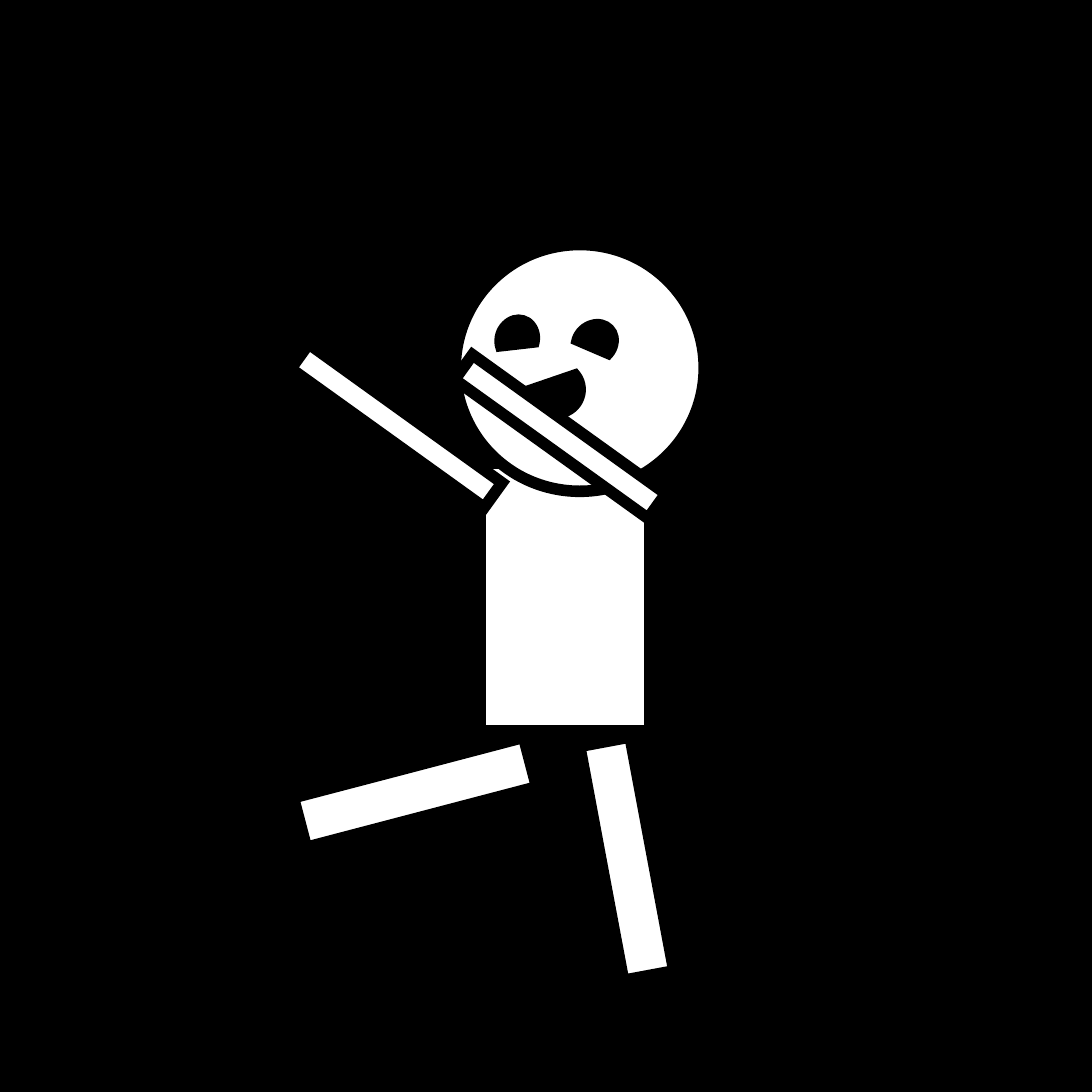
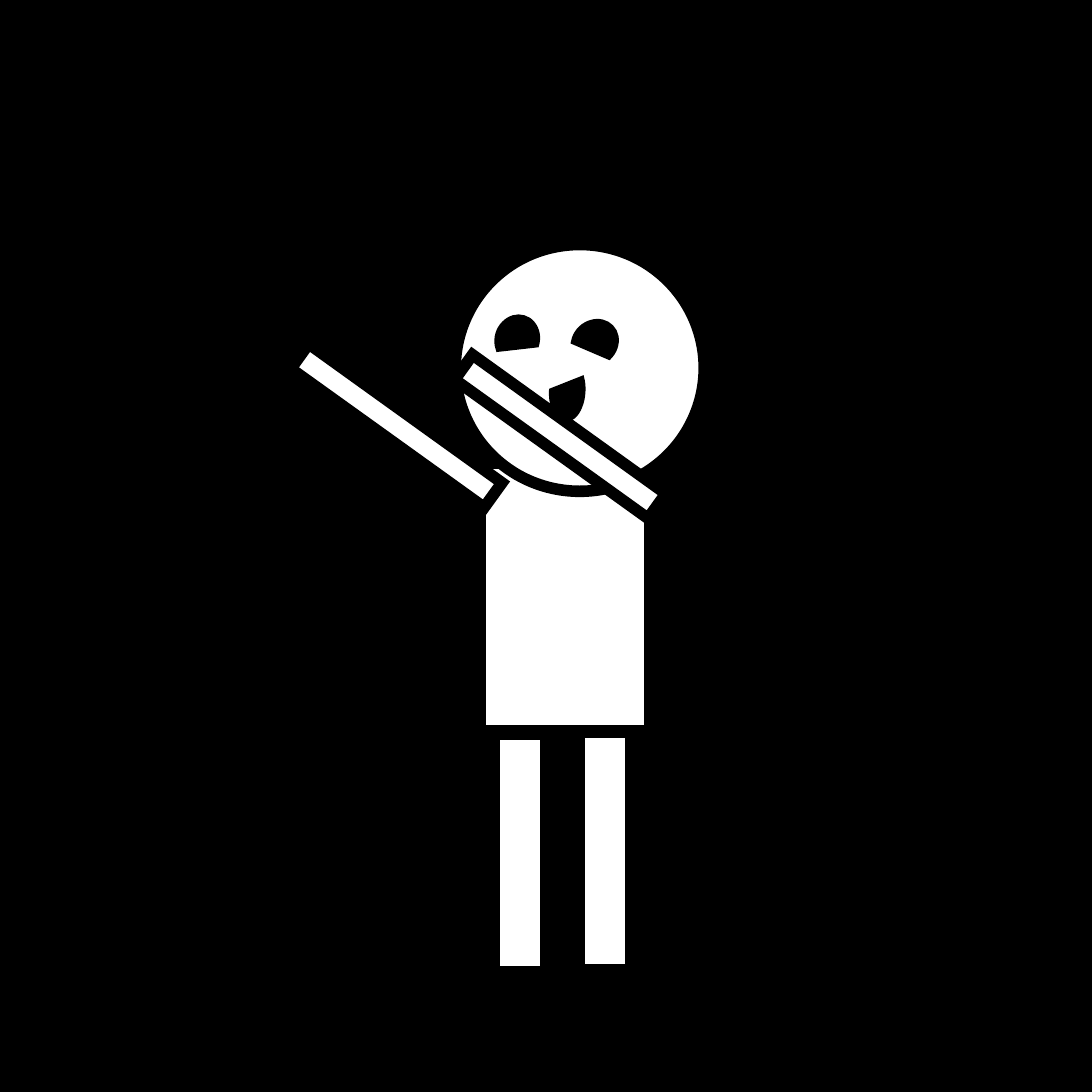
"""Build two poses of a dabbing stick figure, white on black."""
from dataclasses import dataclass

from lxml import etree
from pptx import Presentation
from pptx.dml.color import RGBColor
from pptx.enum import shapes
from pptx.oxml import ns
from pptx.util import Cm, Pt

RECT = shapes.MSO_SHAPE.RECTANGLE
OVAL = shapes.MSO_SHAPE.OVAL
CHORD = shapes.MSO_SHAPE.CHORD


@dataclass(frozen=True)
class Theme:
    dark: RGBColor = RGBColor(0x00, 0x00, 0x00)
    light: RGBColor = RGBColor(0xFF, 0xFF, 0xFF)
    thin: float = 1
    thick: float = 3


THEME = Theme()


@dataclass(frozen=True)
class Part:
    kind: shapes.MSO_SHAPE
    left: float
    top: float
    width: float
    height: float
    rotation: float = 0
    fill: RGBColor = THEME.light
    outline: float = THEME.thick


def limb(left: float, top: float, thickness: float, rotation: float) -> Part:
    return Part(RECT, left, top, 2.18, thickness, rotation)


def arm(left: float, top: float) -> Part:
    return limb(left, top, 0.28, 35.7)


def leg(left: float, top: float, rotation: float) -> Part:
    return limb(left, top, 0.47, rotation)


def feature(left: float, top: float, width: float, height: float, rotation: float) -> Part:
    return Part(CHORD, left, top, width, height, rotation, THEME.dark, THEME.thin)


def eye(left: float, top: float, rotation: float) -> Part:
    return feature(left, top, 0.43, 0.38, rotation)


def mouth(left: float, top: float, width: float, height: float) -> Part:
    return feature(left, top, width, height, 273.4)


BODY_AND_HEAD = [
    Part(RECT, 4.43, 4.28, 1.49, 2.38, outline=THEME.thin),
    Part(OVAL, 4.17, 2.24, 2.28, 2.26),
    eye(4.52, 2.92, 106.7),
    eye(5.23, 2.95, 136.4),
]
RAISED_ARM = arm(2.54, 3.76)
FOLDED_ARM = arm(4.04, 3.86)

KICKING = [
    *BODY_AND_HEAD,
    mouth(4.83, 3.3, 0.51, 0.53),
    RAISED_ARM,
    FOLDED_ARM,
    leg(4.65, 7.63, 79.4),
    leg(2.71, 7.02, 165.3),
]
STANDING = [
    *BODY_AND_HEAD,
    RAISED_ARM,
    leg(4.45, 7.56, 90),
    leg(3.67, 7.58, 90),
    FOLDED_ARM,
    mouth(4.93, 3.43, 0.53, 0.3),
]


def draw_part(s, part: Part) -> None:
    box = (Cm(v) for v in (part.left, part.top, part.width, part.height))
    sp = s.shapes.add_shape(part.kind, *box)
    sp.rotation = part.rotation
    sp.shadow.inherit = False
    sp.fill.solid()
    sp.fill.fore_color.rgb = part.fill
    sp.line.color.rgb = THEME.dark
    sp.line.width = Pt(part.outline)
    ln = sp.element.spPr.find(ns.qn("a:ln"))
    etree.SubElement(ln, ns.qn("a:miter"), lim="800000")


def main() -> None:
    prs = Presentation()
    prs.slide_width = prs.slide_height = Cm(10)
    background = prs.slide_master.background.fill
    background.solid()
    background.fore_color.rgb = THEME.dark
    for pose in (KICKING, STANDING):
        s = prs.slides.add_slide(prs.slide_layouts[6])
        for part in pose:
            draw_part(s, part)
    prs.save("out.pptx")


if __name__ == "__main__":
    main()
